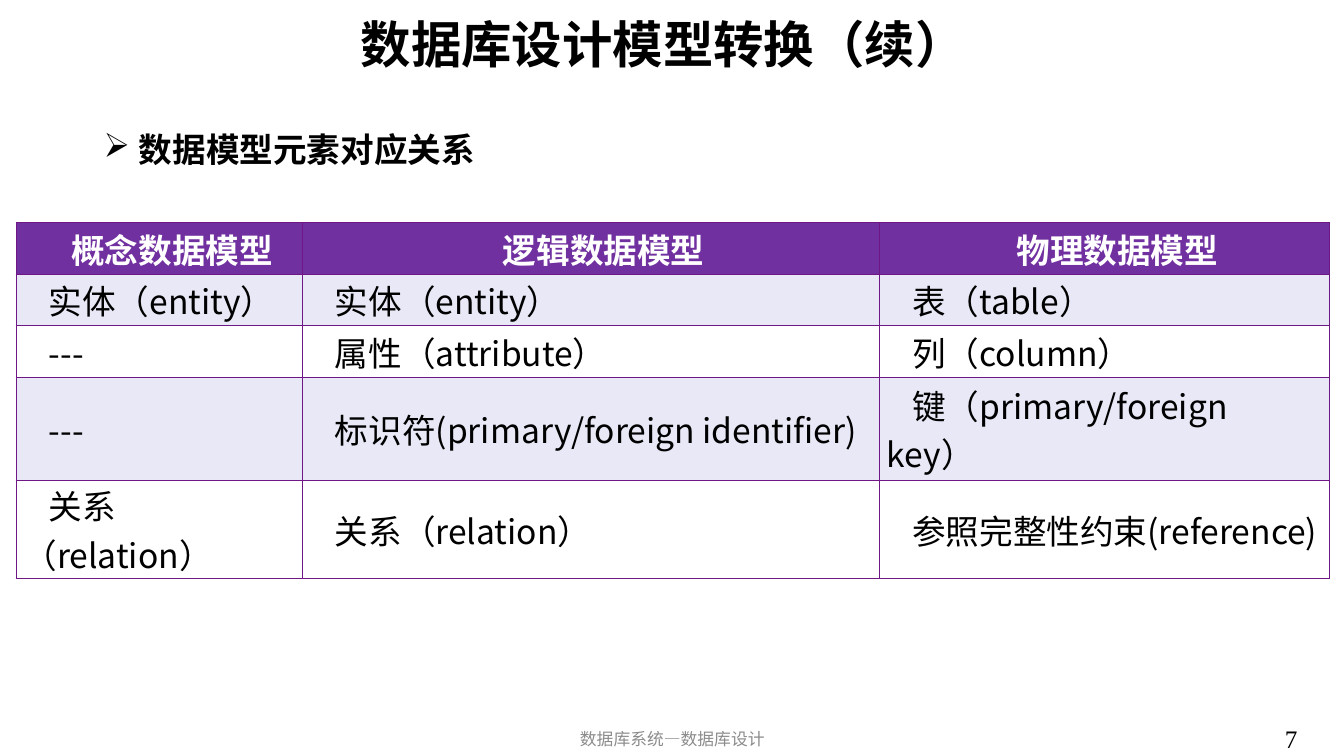
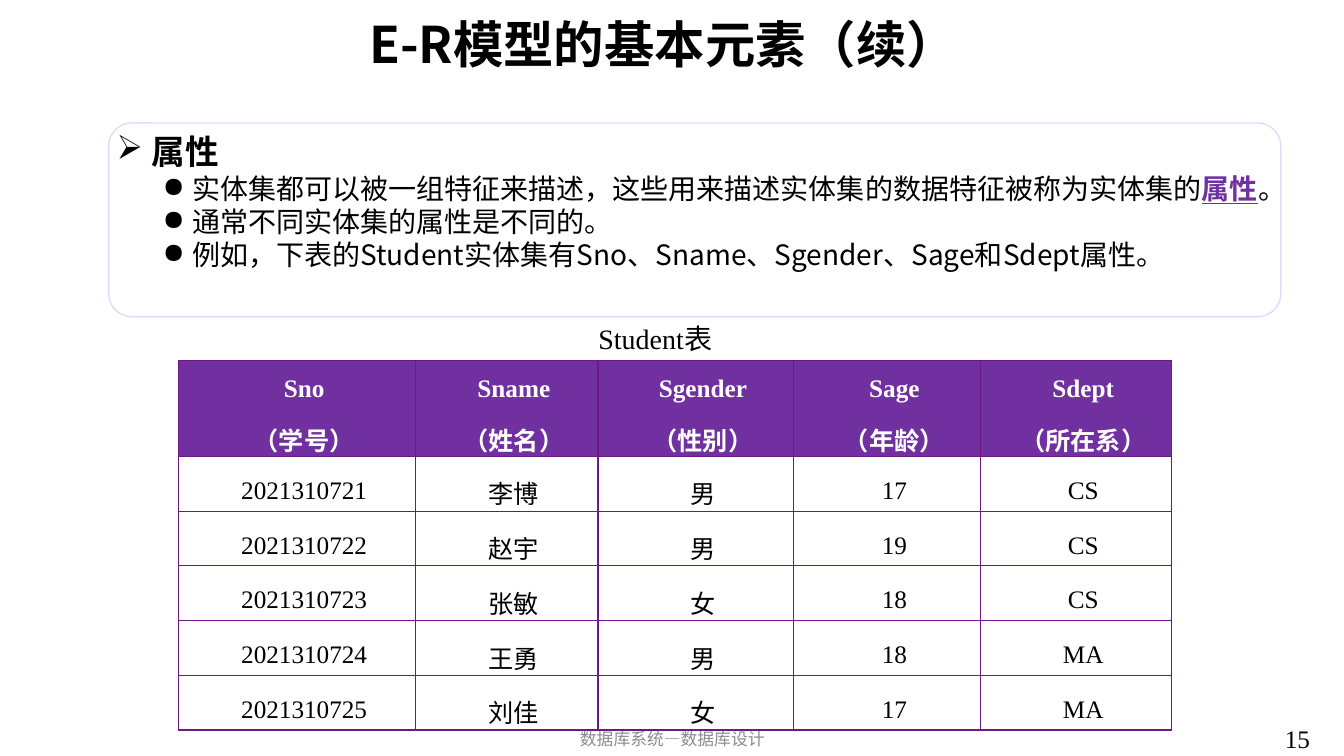
from lxml import etree
from pptx import Presentation
from pptx.dml.color import RGBColor
from pptx.enum.shapes import MSO_SHAPE
from pptx.enum.text import MSO_ANCHOR, PP_ALIGN
from pptx.oxml.ns import qn
from pptx.util import Cm, Pt

CENTER, LEFT = PP_ALIGN.CENTER, PP_ALIGN.LEFT
MIDDLE, TOP = MSO_ANCHOR.MIDDLE, MSO_ANCHOR.TOP
ROUNDED = MSO_SHAPE.ROUNDED_RECTANGLE
TITLE_ONLY = 5

SANS, SERIF = "Noto Sans CJK SC", "Times New Roman"
COLORS = {
    "text": "000000",
    "white": "FFFFFF",
    "accent": "7030A0",
    "border": "6F1787",
    "band": "E8E8F6",
    "panel": "DCDCFF",
    "footer": "8C8C8C",
}
FOOTER = "数据库系统—数据库设计"

# Bullet levels: symbol, left margin, hanging indent (cm), text size, bold
BULLETS = [("➢", 0.89, -0.89, 24, True), ("●", 1.9, -0.74, 20, False)]


def color(name):
    return RGBColor.from_string(COLORS[name])


def format_span(span, size, font=SANS, shade="text", bold=False):
    span.font.size = Pt(size)
    span.font.bold = bold
    span.font.color.rgb = color(shade)
    span.font.name = font
    # Chinese characters always use the sans font
    etree.SubElement(span.font._element, qn("a:ea"), typeface=SANS)


def format_para(para, align=LEFT, **style):
    para.alignment = align
    for span in para.runs:
        format_span(span, **style)


def set_indent(para, margin, first_line):
    properties = para._p.get_or_add_pPr()
    properties.set("marL", str(Cm(margin)))
    properties.set("indent", str(Cm(first_line)))
    return properties


def add_text(page, at, text, anchor=TOP, wrap=True, **style):
    box = page.shapes.add_textbox(*map(Cm, at))
    frame = box.text_frame
    frame.word_wrap = wrap
    frame.vertical_anchor = anchor
    frame.text = text
    format_para(frame.paragraphs[0], **style)


def add_bullets(page, at, items):
    """Each item is a level and its spans; a span is text and an emphasis flag."""
    frame = page.shapes.add_textbox(*map(Cm, at)).text_frame
    frame.word_wrap = True
    for index, (level, spans) in enumerate(items):
        para = frame.add_paragraph() if index else frame.paragraphs[0]
        symbol, margin, hanging, size, bold = BULLETS[level]
        properties = set_indent(para, margin, hanging)
        etree.SubElement(properties, qn("a:buChar"), char=symbol)
        para.level = level
        para.line_spacing = 0.9
        para.space_before = Pt(2 if index else 0)
        for text, emphasised in spans:
            span = para.add_run()
            span.text = text
            shade = "accent" if emphasised else "text"
            format_span(span, size, shade=shade, bold=bold or emphasised)
            span.font.underline = emphasised


def add_panel(page, at):
    panel = page.shapes.add_shape(ROUNDED, *map(Cm, at))
    panel.adjustments[0] = 0.12
    panel.shadow.inherit = False
    panel.fill.solid()
    panel.fill.fore_color.rgb = color("white")
    panel.line.color.rgb = color("panel")
    panel.line.width = Pt(1)


def add_borders(cell):
    properties = cell._tc.get_or_add_tcPr()
    for side in ("lnL", "lnR", "lnT", "lnB"):
        line = etree.SubElement(properties, qn(f"a:{side}"), w=str(Pt(1)))
        fill = etree.SubElement(line, qn("a:solidFill"))
        etree.SubElement(fill, qn("a:srgbClr"), val=COLORS["border"])


def format_cell(cell, text, fill, indent, spacing, **style):
    add_borders(cell)
    cell.fill.solid()
    cell.fill.fore_color.rgb = color(fill)
    cell.vertical_anchor = MIDDLE
    cell.margin_left = cell.margin_right = Cm(0.18)
    cell.margin_top = cell.margin_bottom = 0
    cell.text_frame.text = text
    for para in cell.text_frame.paragraphs:
        set_indent(para, 0, indent)
        para.line_spacing = spacing
        format_para(para, **style)


def add_table(page, left, top, widths, heights, rows, fills, align, indent,
              spacing, size, font):
    """The body rows take the colours of fills in turn."""
    frame = page.shapes.add_table(len(rows), len(widths), Cm(left), Cm(top),
                                  Cm(sum(widths)), Cm(sum(heights)))
    table = frame.table
    table.horz_banding = False
    for column, width in zip(table.columns, widths):
        column.width = Cm(width)
    for number, (row, height, texts) in enumerate(zip(table.rows, heights, rows)):
        row.height = Cm(height)
        header = number == 0
        for cell, text in zip(row.cells, texts):
            format_cell(
                cell, text, indent=indent, spacing=spacing, size=size, font=font,
                fill="accent" if header else fills[(number - 1) % len(fills)],
                align=CENTER if header else align,
                shade="white" if header else "text", bold=header)


def add_page(deck, title, number):
    page = deck.slides.add_slide(deck.slide_layouts[TITLE_ONLY])
    heading = page.shapes.title
    heading.left, heading.top, heading.width, heading.height = map(
        Cm, (2.69, 0.15, 28.04, 1.88))
    heading.text_frame.text = title
    heading.text_frame.vertical_anchor = MIDDLE
    format_para(heading.text_frame.paragraphs[0], CENTER, size=36, bold=True)
    # Footer and page number
    add_text(page, (11.23, 18.19, 11.43, 0.86), FOOTER, MIDDLE,
             align=CENTER, size=12, shade="footer")
    add_text(page, (32.13, 18.11, 1.7, 0.94), str(number), size=18, font=SERIF)
    return page


def build_model_mapping(deck):
    page = add_page(deck, "数据库设计模型转换（续）", 7)
    add_bullets(page, (2.36, 3.25, 15.11, 2.95),
                [(0, [("数据模型元素对应关系", False)])])
    rows = [
        ("概念数据模型", "逻辑数据模型", "物理数据模型"),
        ("实体（entity）", "实体（entity）", "表（table）"),
        ("---", "属性（attribute）", "列（column）"),
        ("---", "标识符(primary/foreign identifier)", "键（primary/foreign key）"),
        ("关系（relation）", "关系（relation）", "参照完整性约束(reference)"),
    ]
    add_table(page, 0.41, 5.61, (7.21, 14.55, 11.33), (1.3, 1.3, 1.3, 2.6, 2.46),
              rows, ("band", "white"), LEFT, 0.64, 1, 24, SANS)


def build_attributes(deck):
    page = add_page(deck, "E-R模型的基本元素（续）", 15)
    # Definition of an attribute
    add_panel(page, (2.74, 3.1, 29.54, 4.88))
    add_bullets(page, (2.69, 3.3, 29.82, 4.19), [
        (0, [("属性", False)]),
        (1, [("实体集都可以被一组特征来描述，这些用来描述实体集的数据特征被称为实体集的", False),
             ("属性", True), ("。", False)]),
        (1, [("通常不同实体集的属性是不同的。", False)]),
        (1, [("例如，下表的Student实体集有Sno、Sname、Sgender、Sage和Sdept属性。", False)]),
    ])
    # Example table
    add_text(page, (14.83, 7.98, 3.78, 1.12), "Student表", wrap=False,
             size=20, font=SERIF)
    rows = [
        ("Sno\n（学号）", "Sname\n（姓名）", "Sgender\n（性别）", "Sage\n（年龄）",
         "Sdept\n（所在系）"),
        ("2021310721", "李博", "男", "17", "CS"),
        ("2021310722", "赵宇", "男", "19", "CS"),
        ("2021310723", "张敏", "女", "18", "CS"),
        ("2021310724", "王勇", "男", "18", "MA"),
        ("2021310725", "刘佳", "女", "17", "MA"),
    ]
    add_table(page, 4.5, 9.09, (5.97, 4.6, 4.93, 4.72, 4.8), [2.41] + [1.38] * 5,
              rows, ("white",), CENTER, 0.36, 1.5, 18, SERIF)


def main():
    deck = Presentation()
    deck.slide_width, deck.slide_height = Cm(33.87), Cm(19.05)
    build_model_mapping(deck)
    build_attributes(deck)
    deck.save("out.pptx")


if __name__ == "__main__":
    main()
